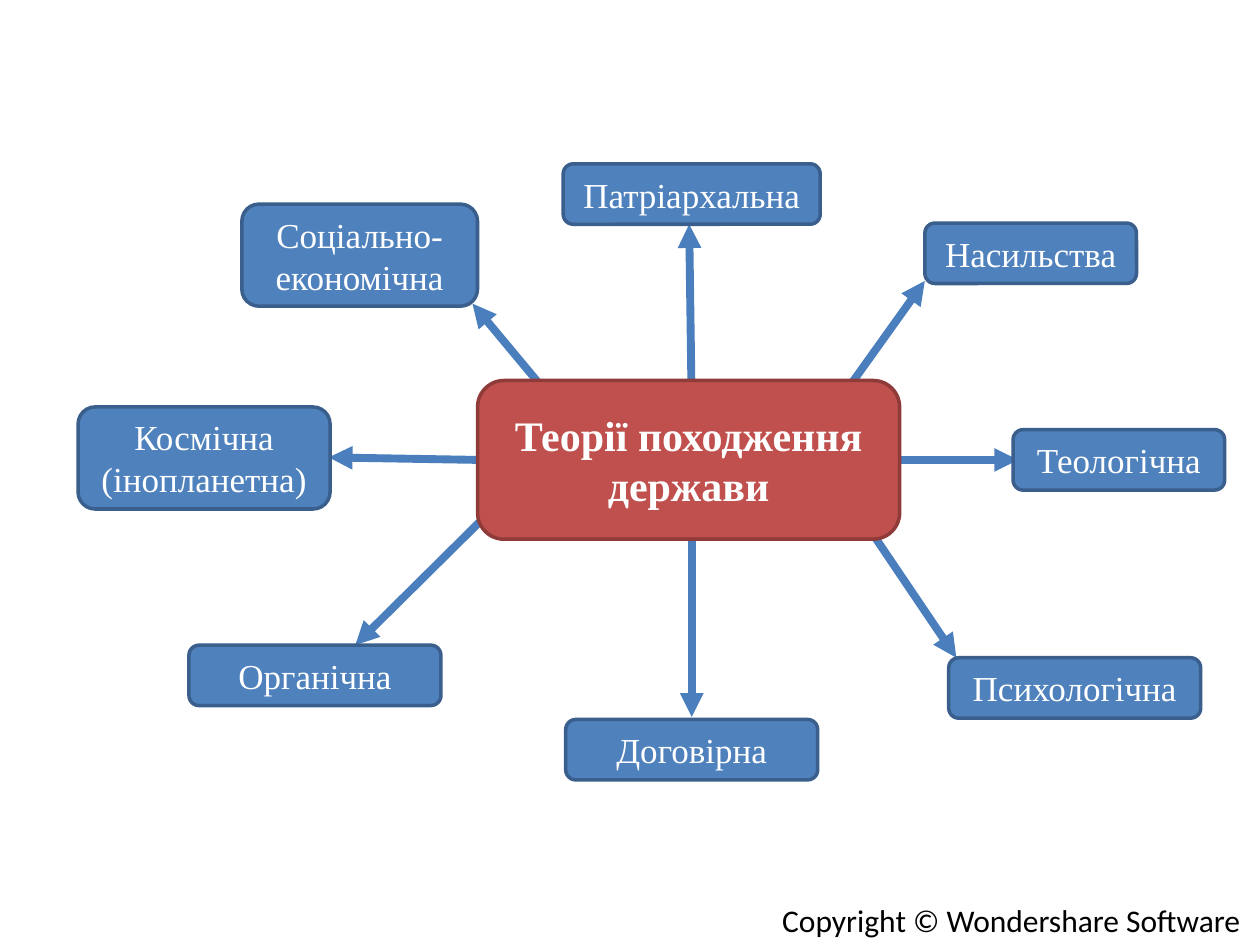
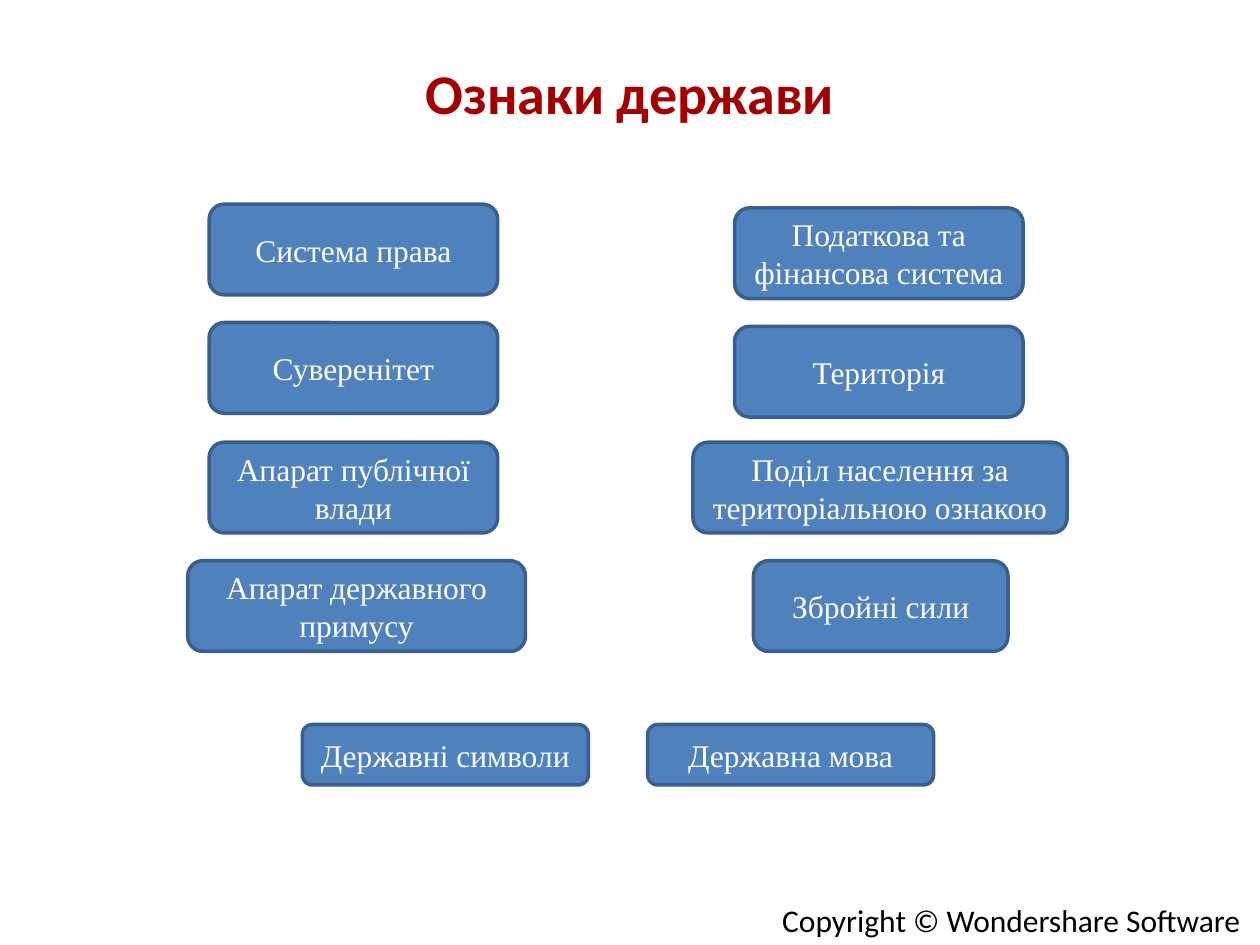
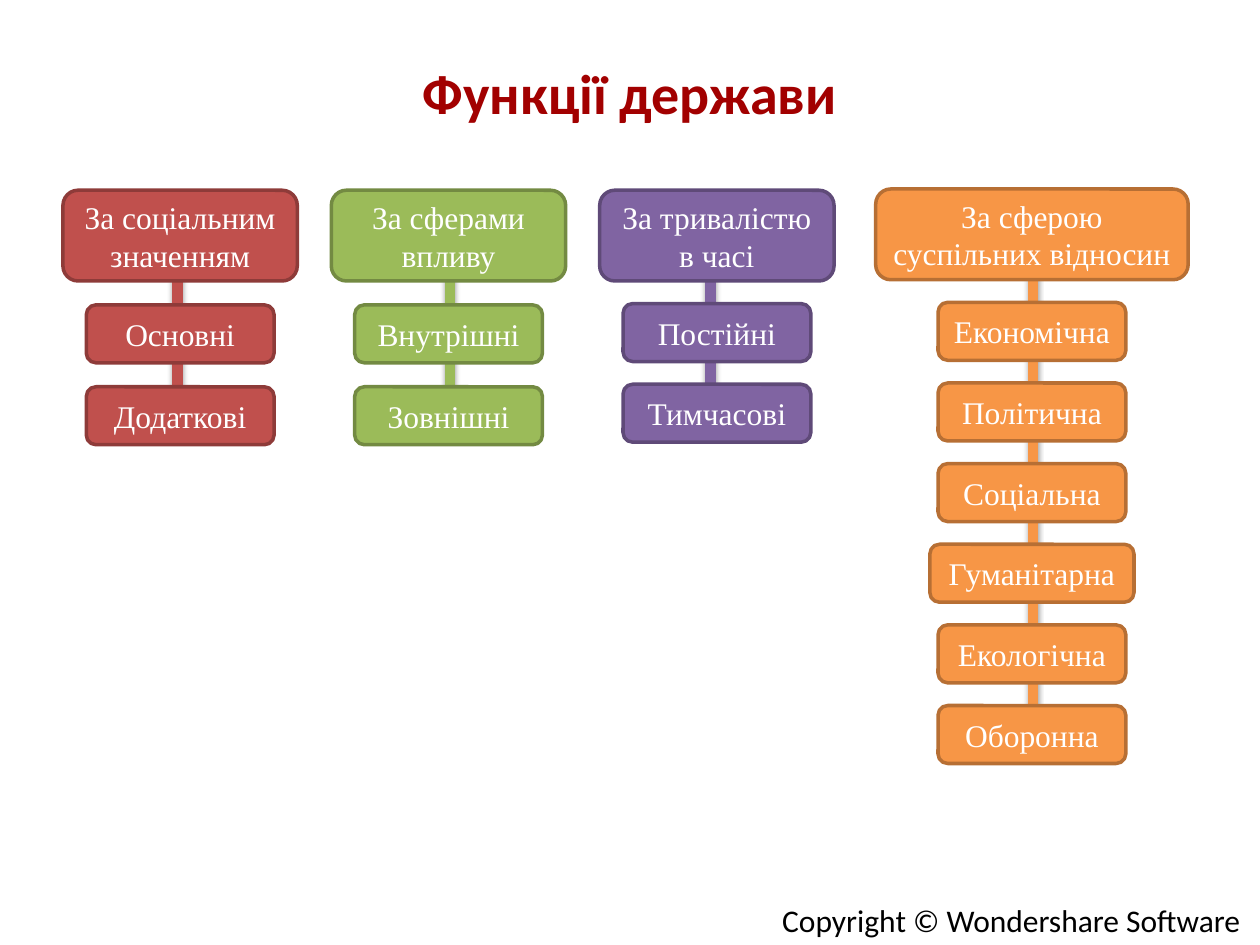
from dataclasses import dataclass

from lxml import etree
from pptx import Presentation
from pptx.dml.color import RGBColor as RGB
from pptx.enum.shapes import MSO_CONNECTOR as CONNECTOR, MSO_SHAPE as SHAPE
from pptx.enum.text import MSO_ANCHOR as ANCHOR, PP_ALIGN as ALIGN
from pptx.oxml.ns import qn
from pptx.util import Inches, Pt


# Theme: colours as (fill, outline) pairs, type sizes in points
@dataclass(frozen=True)
class Theme:
    blue: tuple = ("4F81BD", "3A5F8C")
    red: tuple = ("C0504D", "8E3B39")
    green: tuple = ("9BBB59", "738A42")
    purple: tuple = ("8064A2", "5F4A78")
    orange: tuple = ("F79646", "B76F34")
    arrow: str = "4B7EBC"
    title: str = "A20000"
    black: str = "000000"
    white: str = "FFFFFF"
    heading_font: str = "Calibri"
    body_font: str = "Times New Roman"
    title_size: int = 32
    hub_size: int = 24
    theory_size: int = 20
    body_size: int = 18


theme = Theme()
deck = Presentation()
deck.slide_width, deck.slide_height = Inches(10), Inches(7.5)

# Grid of 100 columns by 75 rows
COLUMN, ROW = deck.slide_width / 100, deck.slide_height / 75


def add_text(slide, text, at, colors=None, size=theme.body_size,
             font=theme.body_font, color=theme.white, bold=False,
             align=ALIGN.CENTER, anchor=ANCHOR.MIDDLE, wrap=True):
    """Place text at (column, row, columns, rows), in a rounded box if colors are given."""
    area = [round(n * unit) for n, unit in zip(at, (COLUMN, ROW) * 2)]
    if colors:
        holder = slide.shapes.add_shape(SHAPE.ROUNDED_RECTANGLE, *area)
        holder.shadow.inherit = False
        fill, outline = map(RGB.from_string, colors)
        holder.fill.solid()
        holder.fill.fore_color.rgb = fill
        holder.line.color.rgb = outline
        holder.line.width = Pt(2)
    else:
        holder = slide.shapes.add_textbox(*area)
    frame = holder.text_frame
    frame.word_wrap = wrap
    frame.vertical_anchor = anchor
    paragraph = frame.paragraphs[0]
    paragraph.alignment = align
    run = paragraph.add_run()
    run.text = text
    run.font.name, run.font.size, run.font.bold = font, Pt(size), bold
    run.font.color.rgb = RGB.from_string(color)


def add_link(slide, start, end, color, width, arrow=False, shadow=False):
    """Draw a straight link between two (column, row) points."""
    ends = [round(n * unit) for n, unit in zip((*start, *end), (COLUMN, ROW) * 2)]
    link = slide.shapes.add_connector(CONNECTOR.STRAIGHT, *ends)
    link.line.color.rgb = RGB.from_string(color)
    link.line.width = Pt(width)
    properties = link._element.spPr
    if arrow:
        etree.SubElement(properties.find(qn("a:ln")), qn("a:tailEnd"), type="triangle")
    effects = etree.SubElement(properties, qn("a:effectLst"))
    if shadow:
        cast = etree.SubElement(effects, qn("a:outerShdw"), blurRad=str(Pt(3.1)),
                                dist=str(Pt(1.6)), dir="5400000", rotWithShape="0")
        tone = etree.SubElement(cast, qn("a:srgbClr"), val=theme.black)
        etree.SubElement(tone, qn("a:alpha"), val="38000")


# Shared parts: footer on every slide, title where there is one
slides = []
for title in (None, "Ознаки держави", "Функції держави"):
    slide = deck.slides.add_slide(deck.slide_layouts[6])
    add_text(slide, "Copyright © Wondershare Software", (61.1, 71, 38.9, 4),
             font=theme.heading_font, color=theme.black,
             align=ALIGN.LEFT, anchor=ANCHOR.TOP, wrap=False)
    if title:
        add_text(slide, title, (5, 3, 90, 8.7), size=theme.title_size,
                 font=theme.heading_font, color=theme.title, bold=True)
    slides.append(slide)
theories_slide, features_slide, functions_slide = slides

# Theories: name, box, arrow start, arrow end
theories = [
    ("Патріархальна", (44.7, 13, 20.4, 4.8), (54.9, 32.3), (54.7, 17.8)),
    ("Насильства", (73.4, 17.7, 16.8, 4.8), (66.1, 32.5), (73.4, 22.3)),
    ("Теологічна", (80.4, 34.1, 16.8, 4.8), (69.8, 36.5), (80.8, 36.5)),
    ("Психологічна", (75.3, 52.2, 20, 4.8), (68, 40.5), (75.9, 52.2)),
    ("Договірна", (44.9, 57.1, 20, 4.8), (54.9, 40.1), (54.9, 56.9)),
    ("Органічна", (15, 51.2, 20, 4.8), (39, 40.5), (28.2, 51.2)),
    ("Космічна (інопланетна)", (6.2, 32.3, 20, 8.1), (37.9, 36.5), (26.1, 36.3)),
    ("Соціально-економічна", (19.2, 16.2, 18.7, 8.1), (43, 30.7), (37.5, 24.1)),
]
for _, _, start, end in theories:
    add_link(theories_slide, start, end, theme.arrow, 4.5, arrow=True)
add_text(theories_slide, "Теорії походження держави", (37.9, 30.2, 33.5, 12.6),
         colors=theme.red, size=theme.hub_size, bold=True)
for theory, area, _, _ in theories:
    add_text(theories_slide, theory, area, colors=theme.blue, size=theme.theory_size)

# Features: name, left, top, width, grouped by box height
features = {
    7.2: [
        ("Система права", 16.6, 16.2, 22.9),
        ("Суверенітет", 16.6, 25.6, 22.9),
        ("Апарат публічної влади", 16.6, 35.1, 22.9),
        ("Апарат державного примусу", 14.9, 44.5, 26.8),
        ("Податкова та фінансова система", 58.3, 16.5, 22.9),
        ("Територія", 58.3, 25.9, 22.9),
        ("Поділ населення за територіальною ознакою", 55, 35.1, 29.7),
        ("Збройні сили", 59.8, 44.5, 20.2),
    ],
    4.8: [
        ("Державні символи", 24, 57.5, 22.7),
        ("Державна мова", 51.4, 57.5, 22.7),
    ],
}
for height, group in features.items():
    for feature, left, top, width in group:
        add_text(features_slide, feature, (left, top, width, height), colors=theme.blue)

# Functions: basis, its colours, centre, width, top, spine column and end,
# first row and step of the kinds, kinds
functions = [
    ("За соціальним значенням", theme.red, 14.3, 18.6, 15.1, 14.1, 31.8, 24.2, 6.5,
     ["Основні", "Додаткові"]),
    ("За сферами впливу", theme.green, 35.6, 18.6, 15.1, 35.7, 31.8, 24.2, 6.5,
     ["Внутрішні", "Зовнішні"]),
    ("За тривалістю в часі", theme.purple, 56.9, 18.6, 15.1, 56.4, 31.8, 24.1, 6.4,
     ["Постійні", "Тимчасові"]),
    ("За сферою суспільних відносин", theme.orange, 81.9, 24.8, 15, 82, 59.4, 24, 6.4,
     ["Економічна", "Політична", "Соціальна", "Гуманітарна", "Екологічна", "Оборонна"]),
]
KIND_WIDTH, WIDE_KIND_WIDTH, KIND_HEIGHT = 14.9, 16.2, 4.6
for basis, colors, centre, width, top, spine, spine_end, first, step, kinds in functions:
    add_link(functions_slide, (spine, 16.1), (spine, spine_end), colors[0], 6, shadow=True)
    add_text(functions_slide, basis, (centre - width / 2, top, width, 7.2), colors=colors)
    for index, kind in enumerate(kinds):
        kind_width = WIDE_KIND_WIDTH if kind == "Гуманітарна" else KIND_WIDTH
        add_text(functions_slide, kind,
                 (centre - kind_width / 2, first + index * step, kind_width, KIND_HEIGHT),
                 colors=colors)

deck.save("out.pptx")
